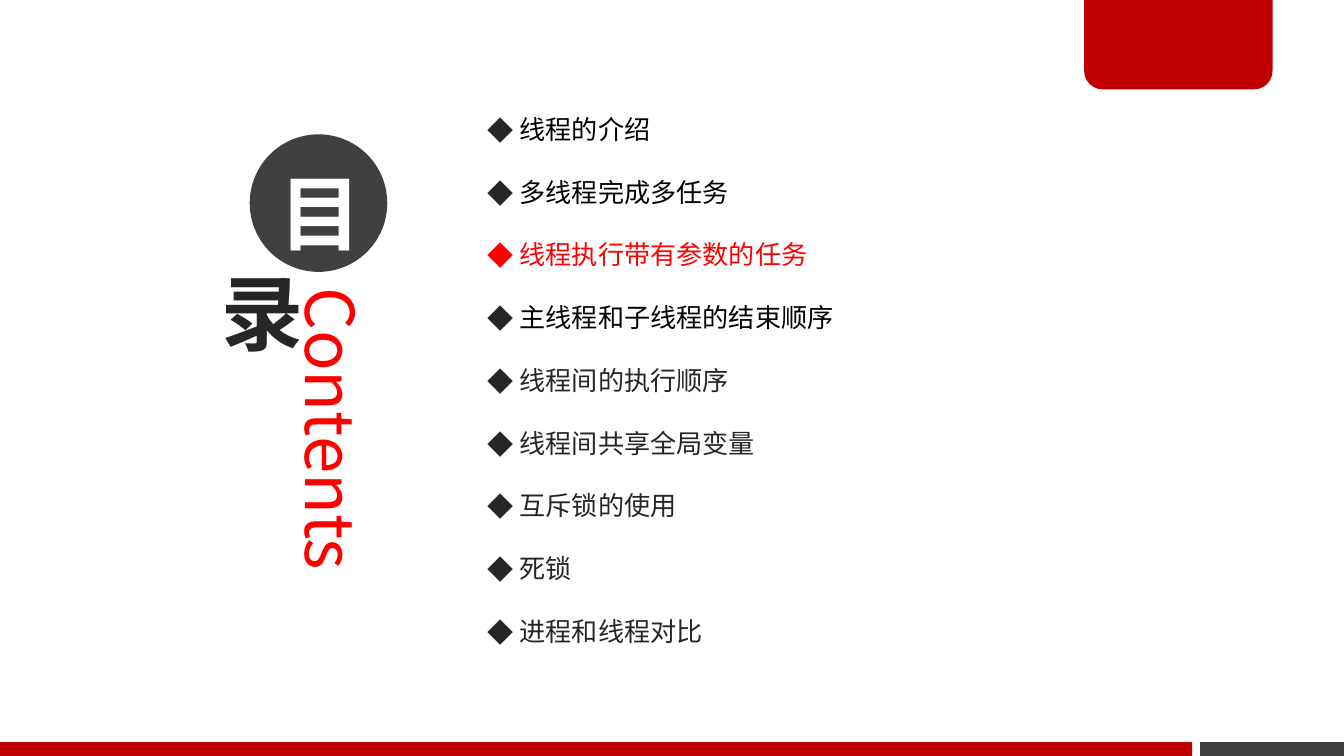
from lxml.etree import SubElement
from pptx import Presentation
from pptx.dml.color import RGBColor
from pptx.enum.shapes import MSO_SHAPE
from pptx.enum.text import MSO_ANCHOR, PP_ALIGN
from pptx.oxml.ns import qn
from pptx.util import Cm, Pt

COLORS = {
    "crimson": "C00000",
    "gray": "404040",
    "ink": "262626",
    "black": "000000",
    "red": "FF0000",
    "white": "FFFFFF",
}
SLIDE_WIDTH, SLIDE_HEIGHT = 25.4, 14.29
BAR_HEIGHT = 0.26
INSETS = (0.18, 0.1, 0.18, 0.1)

TOPICS = [
    ("线程的介绍", "black"),
    ("多线程完成多任务", "black"),
    ("线程执行带有参数的任务", "red"),
    ("主线程和子线程的结束顺序", "black"),
    ("线程间的执行顺序", "ink"),
    ("线程间共享全局变量", "ink"),
    ("互斥锁的使用", "ink"),
    ("死锁", "ink"),
    ("进程和线程对比", "ink"),
]


class ContentsSlide:
    font = "Noto Sans CJK SC"

    def __init__(self, slide):
        self.slide = slide

    def color(self, name):
        return RGBColor.from_string(COLORS[name])

    def shape(self, kind, box, fill=None):
        shape = self.slide.shapes.add_shape(kind, *map(Cm, box))
        shape.shadow.inherit = False
        shape.line.fill.background()
        if fill:
            shape.fill.solid()
            shape.fill.fore_color.rgb = self.color(fill)
        else:
            shape.fill.background()
        return shape

    def frame(self, shape, insets):
        frame = shape.text_frame
        frame.word_wrap = True
        (frame.margin_left, frame.margin_top,
         frame.margin_right, frame.margin_bottom) = map(Cm, insets)
        return frame

    def run(self, paragraph, text, size, color, bold=False):
        run = paragraph.add_run()
        run.text = text
        run.font.size = Pt(size)
        run.font.bold = bold
        run.font.name = self.font
        run.font.color.rgb = self.color(color)
        SubElement(run.font._element, qn("a:ea"), typeface=self.font)

    def character_disc(self, box, text, color, fill=None, insets=INSETS, spacing=None):
        disc = self.shape(MSO_SHAPE.OVAL, box, fill)
        frame = self.frame(disc, insets)
        frame.vertical_anchor = MSO_ANCHOR.MIDDLE
        paragraph = frame.paragraphs[0]
        paragraph.alignment = PP_ALIGN.CENTER
        paragraph.line_spacing = spacing
        self.run(paragraph, text, 44, color, bold=True)

    def vertical_text(self, box, text, size, color):
        label = self.slide.shapes.add_textbox(*map(Cm, box))
        frame = self.frame(label, INSETS)
        frame._txBody.bodyPr.set("vert", "eaVert")
        self.run(frame.paragraphs[0], text, size, color)

    def bullet(self, paragraph, color, indent):
        properties = paragraph._p.get_or_add_pPr()
        properties.set("marL", str(Cm(indent)))
        properties.set("indent", str(-Cm(indent)))
        bullet_color = SubElement(properties, qn("a:buClr"))
        SubElement(bullet_color, qn("a:srgbClr"), val=COLORS[color])
        SubElement(properties, qn("a:buFont"), typeface=self.font)
        SubElement(properties, qn("a:buChar"), char="◆")

    def topic_list(self, box, topics):
        listing = self.slide.shapes.add_textbox(*map(Cm, box))
        frame = self.frame(listing, (0.25, 0.13, 0.25, 0.13))
        for index, (topic, color) in enumerate(topics):
            paragraph = frame.add_paragraph() if index else frame.paragraphs[0]
            paragraph.line_spacing = 2.0
            self.bullet(paragraph, "red" if color == "red" else "ink", 0.6)
            self.run(paragraph, topic, 14, color)


def main():
    deck = Presentation()
    deck.slide_width, deck.slide_height = Cm(SLIDE_WIDTH), Cm(SLIDE_HEIGHT)
    contents = ContentsSlide(deck.slides.add_slide(deck.slide_layouts[6]))

    # Footer bars
    bar_top = SLIDE_HEIGHT - BAR_HEIGHT
    for left, right, fill in [(0, 22.53, "crimson"), (22.68, SLIDE_WIDTH, "gray")]:
        contents.shape(MSO_SHAPE.RECTANGLE, (left, bar_top, right - left, BAR_HEIGHT), fill)

    # Corner tab, rounded only at the bottom
    tab = contents.shape(MSO_SHAPE.ROUND_2_SAME_RECTANGLE, (20.49, -0.05, 3.56, 1.74), "crimson")
    tab.adjustments[0], tab.adjustments[1] = 0, 0.2

    # Heading
    contents.vertical_text((5.44, 5.33, 1.78, 7.34), "Contents", 36, "red")
    contents.character_disc((4.72, 2.54, 2.6, 2.6), "目", "white", "gray",
                            insets=(0.18, 0.1, 0.18, 0.38), spacing=Pt(70))
    contents.character_disc((3.71, 4.88, 2.03, 2.03), "录", "ink")

    # Topics
    contents.topic_list((8.97, 1.42, 11.99, 12.04), TOPICS)

    deck.save("out.pptx")


if __name__ == "__main__":
    main()
